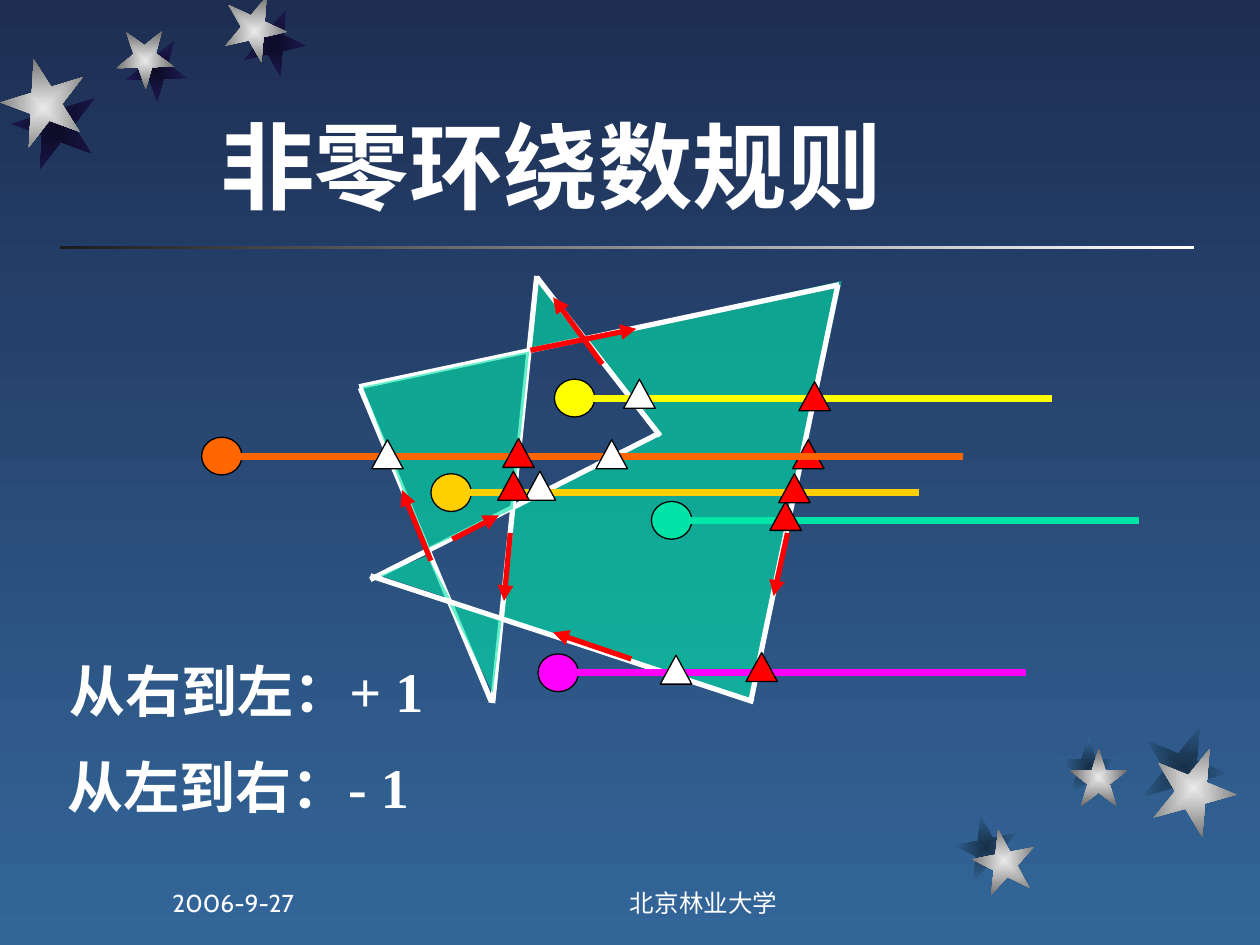
from lxml.etree import SubElement
from pptx import Presentation
from pptx.dml.color import RGBColor as Rgb
from pptx.enum.shapes import MSO_CONNECTOR as Connector, MSO_SHAPE as Shape
from pptx.enum.text import MSO_ANCHOR as Anchor, PP_ALIGN as Align
from pptx.oxml.ns import qn
from pptx.util import Cm, Pt

COLORS = {
    "white": "FFFFFF", "black": "000000", "red": "FF0000", "rule": "1C1C1C",
    "top": "1E2E53", "bottom": "336699", "mint": "00E4A8", "yellow": "FFFF00",
    "magenta": "FF00FF", "orange": "FF6600", "gold": "FFCF01",
    "silver": "EAEAEA", "grey": "6B6B6B", "night": "0D0B26", "violet": "1E1A53",
    "deep": "172F46",
}


def color(name):
    return Rgb.from_string(COLORS[name])


def length(units):
    """Slide grid: one unit is 2.54 cm."""
    return Cm(units * 2.54)


def lengths(values):
    return [length(value) for value in values]


class SlideBuilder:
    line_width = 3
    ray_width = 4
    outline_width = 0.75
    serif, sans = "Times New Roman", "Cabin"

    def __init__(self, slide):
        self.slide = slide
        self.shapes = slide.shapes

    def gradient(self, fill, first, last, angle=None):
        """Linear gradient, or one from the centre when no angle is given."""
        fill.gradient()
        for stop, name in zip(fill.gradient_stops, (first, last)):
            stop.color.rgb = color(name)
        if angle is not None:
            fill.gradient_angle = angle

    def preset(self, kind, box, fill=None):
        shape = self.shapes.add_shape(kind, *lengths(box))
        shape.shadow.inherit = False
        if fill:
            shape.fill.solid()
            shape.fill.fore_color.rgb = color(fill)
            shape.line.color.rgb = color("black")
            shape.line.width = Pt(self.outline_width)
        else:
            shape.line.fill.background()
        return shape

    def rule(self, box):
        self.gradient(self.preset(Shape.RECTANGLE, box).fill, "white", "rule", 180)

    def star(self, left, top, size, rotation, colors):
        shape = self.preset(Shape.STAR_5_POINT, (left, top, size, size))
        shape.rotation = rotation
        self.gradient(shape.fill, *colors)
        gradient = shape._element.spPr.find(qn("a:gradFill"))
        gradient.remove(gradient.find(qn("a:lin")))
        centre = SubElement(gradient, qn("a:path"), path="rect")
        SubElement(centre, qn("a:fillToRect"), dict.fromkeys("ltrb", "50000"))

    def outline(self, points, close):
        start, *others = [lengths(point) for point in points]
        builder = self.shapes.build_freeform(*start, scale=1.0)
        builder.add_line_segments(others, close=close)
        shape = builder.convert_to_shape()
        shape.shadow.inherit = False
        return shape

    def region(self, points):
        shape = self.outline(points, True)
        shape.line.fill.background()
        shape.fill.solid()
        shape.fill.fore_color.rgb = color("mint")
        tint = shape._element.spPr.find(qn("a:solidFill"))[0]
        SubElement(tint, qn("a:alpha"), val="61000")

    def bent_edge(self, points):
        shape = self.outline(points, False)
        shape.fill.background()
        shape.line.color.rgb = color("white")
        shape.line.width = Pt(self.line_width)

    def line(self, ends, name="white", width=line_width, arrow=False):
        connector = self.shapes.add_connector(Connector.STRAIGHT, *lengths(ends))
        connector.line.color.rgb = color(name)
        connector.line.width = Pt(width)
        if arrow:
            SubElement(connector.line._get_or_add_ln(), qn("a:tailEnd"), type="triangle")
        SubElement(connector._element.spPr, qn("a:effectLst"))

    def ray(self, left, y, start, end, name):
        self.preset(Shape.OVAL, (left, y - 0.15, 0.32, 0.3), name)
        self.line((start, y, end, y), name, self.ray_width)

    def crossing(self, left, top, name):
        self.preset(Shape.ISOSCELES_TRIANGLE, (left, top, 0.25, 0.23), name)

    def text(self, text, box, size, name, bold=False, anchor=Anchor.TOP, align=Align.LEFT):
        frame = self.shapes.add_textbox(*lengths(box)).text_frame
        frame.word_wrap = True
        frame.vertical_anchor = anchor
        paragraph = frame.paragraphs[0]
        paragraph.alignment = align
        run = paragraph.add_run()
        run.text = text
        for key, value in {"size": Pt(size), "name": name, "bold": bold}.items():
            setattr(run.font, key, value)
        run.font.color.rgb = color("white")


def main():
    presentation = Presentation()
    presentation.slide_width, presentation.slide_height = lengths((10, 7.5))
    slide = presentation.slides.add_slide(presentation.slide_layouts[6])
    builder = SlideBuilder(slide)

    # Background, rule and stars
    builder.gradient(slide.background.fill, "top", "bottom", 270)
    builder.rule((0.48, 1.95, 9, 0.03))
    silver = ("silver", "grey")
    star_groups = [
        (("night", "violet"),
         [(1.92, 0.11, 0.5, 167.3), (1, 0.33, 0.48, 178.3), (0.1, 0.69, 0.67, 200.3)]),
        (silver,
         [(1.77, 0, 0.5, 167.3), (0.92, 0.25, 0.46, 178.3), (0.01, 0.52, 0.67, 200.3)]),
        (("deep", "bottom"),
         [(7.58, 6.47, 0.5, 349), (8.41, 5.85, 0.46, 0), (9.06, 5.75, 0.67, 22)]),
        (silver,
         [(7.72, 6.58, 0.5, 349), (8.49, 5.94, 0.46, 0), (9.14, 5.92, 0.67, 22)]),
    ]
    for colors, stars in star_groups:
        for star in stars:
            builder.star(*star, colors)

    # Large inner regions lie under the polygon edges
    builder.region([(4.21, 2.77), (4.27, 2.21), (4.63, 2.68)])
    builder.region([(4.64, 2.68), (6.68, 2.23), (5.96, 5.58),
                    (3.98, 4.91), (4.05, 4.04), (5.23, 3.43)])

    # Polygon edges
    for edge in [(2.86, 3.08, 3.9, 5.57), (6.65, 2.26, 5.96, 5.56),
                 (2.85, 3.07, 6.66, 2.26), (4.26, 2.2, 5.24, 3.46),
                 (5.23, 3.44, 2.94, 4.6), (3.91, 5.58, 4.26, 2.19)]:
        builder.line(edge)
    builder.bent_edge([(2.94, 4.57), (4.71, 5.15), (5.98, 5.57)])

    # Left inner regions lie over the edges
    builder.region([(2.88, 3.07), (4.2, 2.79), (4.07, 4.04), (3.38, 4.36)])
    builder.region([(3.02, 4.57), (3.39, 4.41), (3.57, 4.75)])
    builder.region([(3.57, 4.8), (3.98, 4.93), (3.91, 5.5)])

    # Test points with their rays; the orange ray covers one crossing
    builder.crossing(6.29, 3.49, "red")
    for ray in [(5.17, 4.13, 5.4, 9.04, "mint"), (4.4, 3.16, 4.7, 8.35, "yellow"),
                (4.27, 5.34, 4.49, 8.14, "magenta"), (1.6, 3.62, 1.9, 7.64, "orange"),
                (3.42, 3.91, 3.65, 7.29, "gold")]:
        builder.ray(*ray)

    # Crossings of rays and edges
    for crossing in [(4.95, 3.01, "white"), (6.34, 3.03, "red"), (6.11, 3.98, "red"),
                     (5.24, 5.2, "white"), (5.92, 5.18, "red"), (2.95, 3.49, "white"),
                     (3.99, 3.48, "red"), (4.16, 3.74, "white"), (3.95, 3.74, "red"),
                     (6.18, 3.76, "red"), (4.73, 3.49, "white")]:
        builder.crossing(*crossing)

    # Edge directions
    for arrow in [(3.42, 4.45, 3.19, 3.89), (4.21, 2.78, 5.05, 2.61),
                  (6.25, 4.23, 6.14, 4.73), (5.01, 5.23, 4.39, 5.02),
                  (3.59, 4.28, 3.96, 4.09), (4.78, 2.89, 4.39, 2.36),
                  (4.05, 4.23, 4, 4.77)]:
        builder.line(arrow, "red", arrow=True)

    # Title, counting rules and footer
    builder.text("非零环绕数规则", (1.65, 0.27, 6.82, 1.54), 54, builder.serif, True, Anchor.BOTTOM)
    builder.text("从右到左：+ 1", (0.45, 5.16, 3.2, 0.64), 32, builder.serif, True)
    builder.text("从左到右：- 1", (0.44, 5.92, 3.2, 0.64), 32, builder.serif, True)
    builder.text("北京林业大学", (4, 6.83, 3.17, 0.5), 14, builder.sans,
                 anchor=Anchor.BOTTOM, align=Align.CENTER)
    builder.text("2006-9-27", (1.27, 6.83, 2.08, 0.5), 14, builder.sans, anchor=Anchor.BOTTOM)

    presentation.save("out.pptx")


if __name__ == "__main__":
    main()
